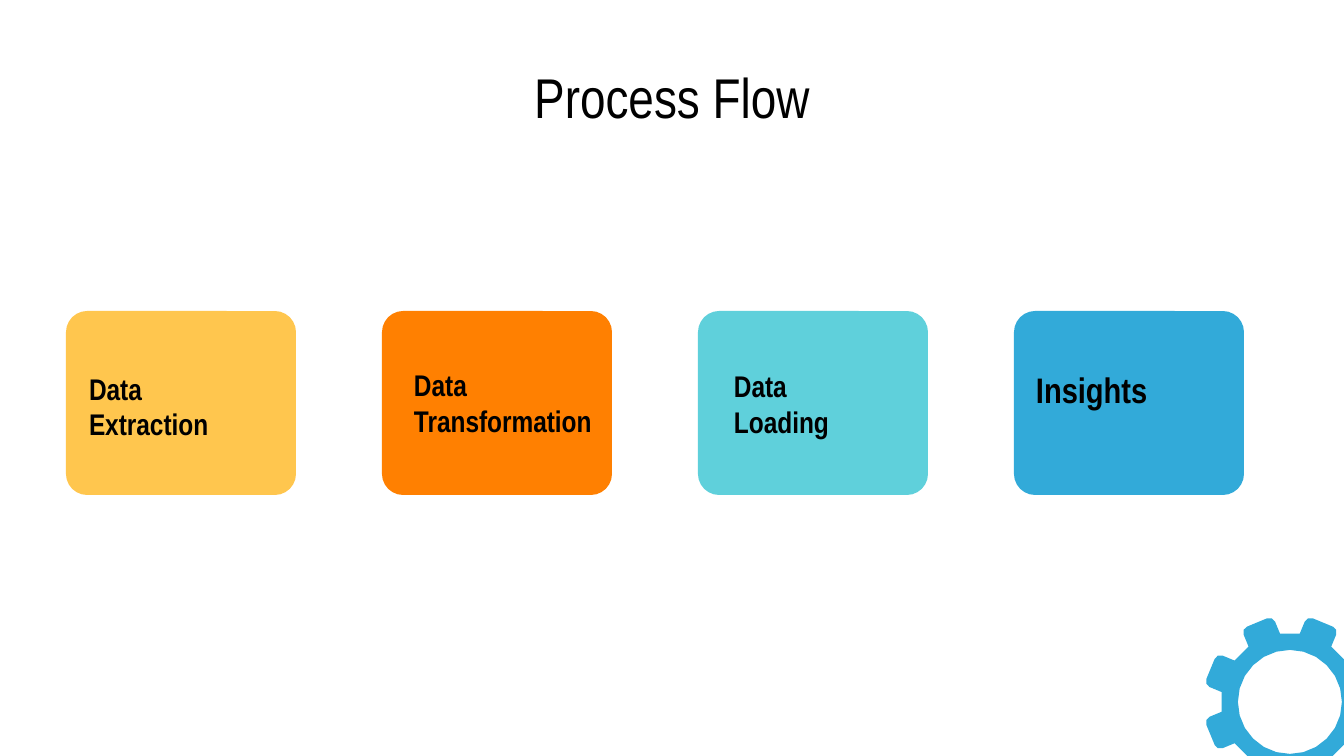
"""Build the Process Flow slide."""
import math

from pptx import Presentation
from pptx.dml.color import RGBColor
from pptx.enum import shapes, text
from pptx.util import Pt

PX = 914400 / 134.4
COLOURS = {
    "ink": "000000",
    "yellow": "FFC64E",
    "orange": "FF8001",
    "teal": "5FD0DB",
    "blue": "32AAD9",
}
INSETS = {f"margin_{side}": 13 for side in ("left", "top", "right", "bottom")}
FIXED = {"vertical_anchor": text.MSO_ANCHOR.MIDDLE, "auto_size": text.MSO_AUTO_SIZE.NONE}
GROWING = {"vertical_anchor": text.MSO_ANCHOR.TOP,
           "auto_size": text.MSO_AUTO_SIZE.SHAPE_TO_FIT_TEXT}
STAGES = [
    ("yellow", ["Data", "Extraction"], (76, 363, 210, 86), 16, FIXED,
     INSETS | {"margin_top": 7, "margin_bottom": 7}),
    ("orange", ["Data Transformation"], (401, 354, 206, 99), 16, GROWING, INSETS),
    ("teal", ["Data", "Loading"], (721, 355, 194, 99), 16, GROWING, INSETS),
    ("blue", ["Insights"], (1023, 355, 230, 70), 19, GROWING, INSETS),
]


def px(length):
    """Turn pixels into EMU."""
    return round(length * PX)


def assign(target, values):
    """Set each named attribute of the target."""
    for name, value in values.items():
        setattr(target, name, value)


def paint(shape, colour):
    """Give a shape a plain fill without line or shadow."""
    shape.fill.solid()
    shape.fill.fore_color.rgb = RGBColor.from_string(COLOURS[colour])
    shape.line.fill.background()
    shape.shadow.inherit = False


def write(frame, lines, size, bold, align, layout, insets):
    """Write one paragraph per line in the slide's font."""
    assign(frame, layout | {"word_wrap": True})
    assign(frame, {side: px(gap) for side, gap in insets.items()})
    frame.text = "\n".join(lines)
    for paragraph in frame.paragraphs:
        paragraph.alignment = align
        for run in paragraph.runs:
            assign(run.font, {"name": "Arial Narrow", "size": Pt(size), "bold": bold})
            run.font.color.rgb = RGBColor.from_string(COLOURS["ink"])


def add_title(slide, wording):
    """Place and format the title."""
    title = slide.shapes.title
    assign(title, {"left": px(67), "top": px(61), "width": px(1210), "height": px(71)})
    write(title.text_frame, [wording], 30, False, text.PP_ALIGN.CENTER, FIXED, INSETS)


def add_card(slide, index, colour):
    """Add one rounded card of the row."""
    card = slide.shapes.add_shape(shapes.MSO_SHAPE.ROUNDED_RECTANGLE,
                                  px(66 + 316 * index), px(311), px(230), px(184))
    card.adjustments[0] = 0.115
    paint(card, colour)


def add_label(slide, lines, box, size, layout, insets):
    """Add the bold wording of a stage."""
    label = slide.shapes.add_textbox(*map(px, box))
    write(label.text_frame, lines, size, True, text.PP_ALIGN.LEFT, layout, insets)


def ring(radius, count):
    """List evenly spaced points around a circle."""
    angles = [2 * math.pi * i / count for i in range(count)]
    return [(radius * math.cos(a), radius * math.sin(a)) for a in angles]


def tooth(angle, root, tip, half, corner):
    """List the points of a round-cornered tooth pointing along an angle."""
    bevel = corner * (1 - math.sqrt(0.5))
    side = [(root, half), (tip - corner, half),
            (tip - bevel, half - bevel), (tip, half - corner)]
    upright = [(x, -y) for x, y in side] + side[::-1]
    c, s = math.cos(math.radians(angle)), math.sin(math.radians(angle))
    return [(x * c - y * s, x * s + y * c) for x, y in upright]


def add_gear(slide, centre, colour):
    """Add an eight-toothed gear with a round hole."""
    teeth = [point for i in range(8) for point in tooth(22.5 + 45 * i, 67, 86, 17, 6)]
    rim, hole = ([(px(centre[0] + x), px(centre[1] + y)) for x, y in outline]
                 for outline in (teeth, ring(52, 24)[::-1]))
    builder = slide.shapes.build_freeform(*rim[0])
    builder.add_line_segments(rim[1:])
    builder.move_to(*hole[0])
    builder.add_line_segments(hole[1:])
    paint(builder.convert_to_shape(), colour)


def main():
    """Build and save the slide."""
    deck = Presentation()
    assign(deck, {"slide_width": px(1344), "slide_height": px(756)})
    slide = deck.slides.add_slide(deck.slide_layouts[5])
    add_title(slide, "Process Flow")
    for index, (colour, *label) in enumerate(STAGES):
        add_card(slide, index, colour)
        add_label(slide, *label)
    add_gear(slide, (1290, 702), "blue")
    deck.save("out.pptx")


if __name__ == "__main__":
    main()
